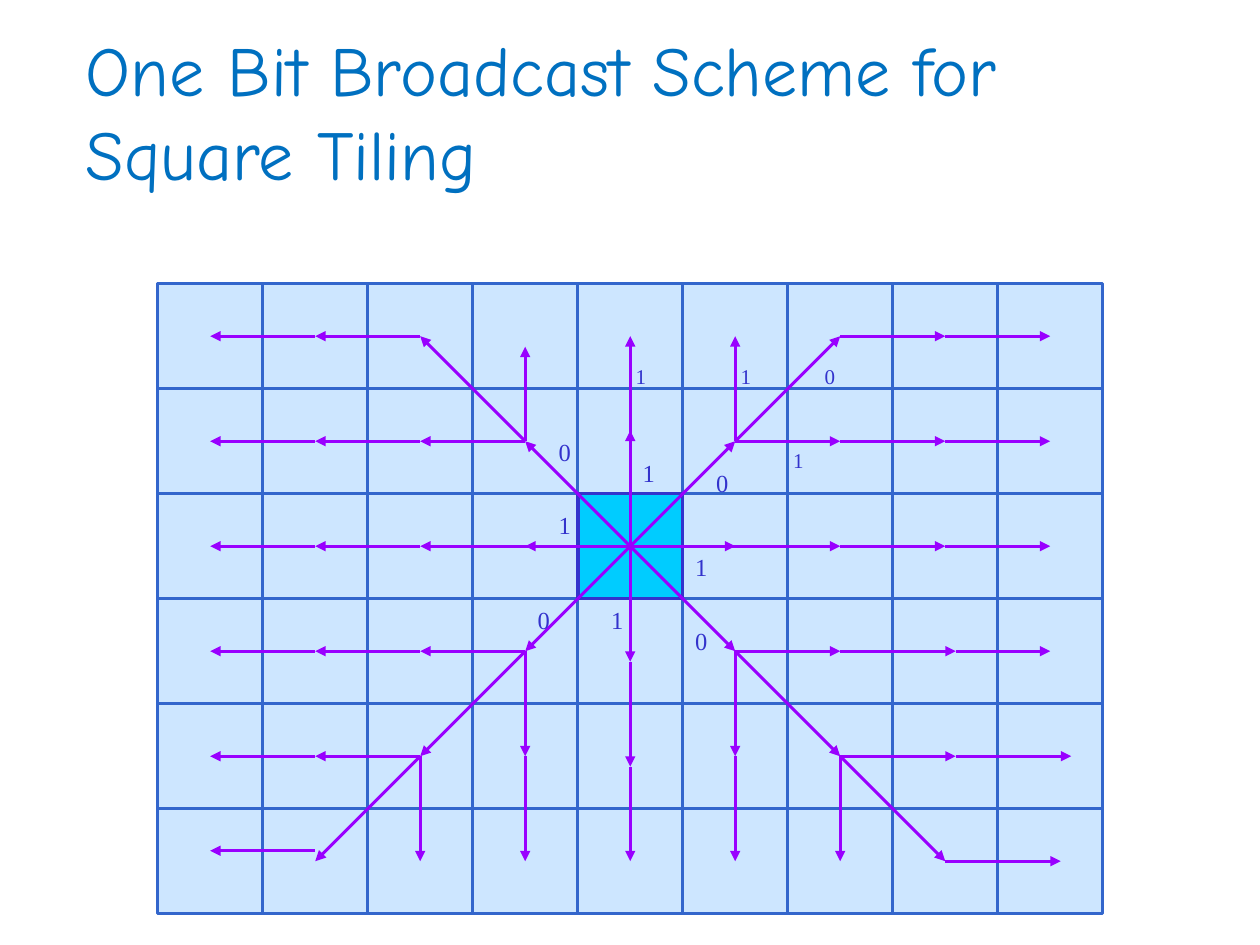
from itertools import pairwise, product

from lxml import etree
from pptx import Presentation
from pptx.dml.color import RGBColor
from pptx.enum.shapes import MSO_CONNECTOR as Connector, MSO_SHAPE as Shape
from pptx.enum.text import MSO_ANCHOR as Anchor, PP_ALIGN as Align
from pptx.oxml.ns import qn
from pptx.util import Cm, Pt

COLORS = {"title": "0070C0", "tile": "CDE6FF", "grid": "3366CC",
          "source": "00CCFF", "ink": "3333CC", "arrow": "9900FF"}
COLUMNS, ROWS = 9, 6
SOURCE = (4, 2)  # column and row of the broadcasting tile

# Each route is a chain of arrows; points are in tiles from the source centre.
ROUTES = [
    # straight up, down, right and left
    [(0, 0), (0, -1.1)],
    [(0, -1), (0, -2)],
    [(0, 0), (0, 1.1), (0, 2.1), (0, 3)],
    [(0, 0), (1, 0)],
    [(0.9, 0), (2, 0), (3, 0), (4, 0)],
    [(0, 0), (-1, 0)],
    [(-0.9, 0), (-2, 0), (-3, 0), (-4, 0)],
    # up right
    [(0, 0), (1, -1), (2, -2), (3, -2), (4, -2)],
    [(1, -1), (1, -2)],
    [(1, -1), (2, -1), (3, -1), (4, -1)],
    # up left
    [(0, 0), (-1, -1), (-2, -2), (-3, -2), (-4, -2)],
    [(-1, -1), (-1, -1.9)],
    [(-1, -1), (-2, -1), (-3, -1), (-4, -1)],
    # down left
    [(0, 0), (-1, 1), (-2, 2), (-3, 3)],
    [(-3, 2.9), (-4, 2.9)],
    [(-1, 1), (-1, 2), (-1, 3)],
    [(-1, 1), (-2, 1), (-3, 1), (-4, 1)],
    [(-2, 2), (-3, 2), (-4, 2)],
    [(-2, 2), (-2, 3)],
    # down right
    [(0, 0), (1, 1), (2, 2), (3, 3), (4.1, 3)],
    [(1, 1), (1, 2), (1, 3)],
    [(1, 1), (2, 1), (3.1, 1), (4, 1)],
    [(2, 2), (3.1, 2), (4.2, 2)],
    [(2, 2), (2, 3)],
]
# Bit and the top left corner of its label, in tiles from the source centre.
NEAR_BITS = [("1", 0, -0.9), ("1", -0.8, -0.4), ("1", -0.3, 0.5), ("1", 0.5, 0),
             ("0", 0.5, 0.7), ("0", -1, 0.5), ("0", -0.8, -1.1), ("0", 0.7, -0.8)]
FAR_BITS = [("1", -0.1, -1.8), ("1", 0.9, -1.8), ("1", 1.4, -1), ("0", 1.7, -1.8)]


def color(name):
    return RGBColor.from_string(COLORS[name])


def add_text(page, text, left, top, width, height, *, size, font, ink,
             align=Align.LEFT, anchor=Anchor.TOP):
    box = page.shapes.add_textbox(Cm(left), Cm(top), Cm(width), Cm(height))
    frame = box.text_frame
    frame.word_wrap = True
    frame.vertical_anchor = anchor
    para = frame.paragraphs[0]
    para.alignment = align
    span = para.add_run()
    span.text = text
    span.font.size = Pt(size)
    span.font.name = font
    span.font.color.rgb = color(ink)


def add_tile(page, left, top, side, fill, line, weight):
    tile = page.shapes.add_shape(Shape.RECTANGLE, Cm(left), Cm(top), Cm(side), Cm(side))
    tile.shadow.inherit = False
    tile.fill.solid()
    tile.fill.fore_color.rgb = color(fill)
    tile.line.color.rgb = color(line)
    tile.line.width = Pt(weight)


def add_arrow(page, start, end):
    arrow = page.shapes.add_connector(Connector.STRAIGHT, *map(Cm, start + end))
    arrow.line.color.rgb = color("arrow")
    arrow.line.width = Pt(1.75)
    etree.SubElement(arrow.line._get_or_add_ln(), qn("a:tailEnd"), type="triangle")
    etree.SubElement(arrow._element.spPr, qn("a:effectLst"))


def add_tiling(page, left, top, side):
    for row, column in product(range(ROWS), range(COLUMNS)):
        if (column, row) != SOURCE:
            add_tile(page, left + column * side, top + row * side, side,
                     "tile", "grid", 1.75)
    add_tile(page, left + SOURCE[0] * side, top + SOURCE[1] * side, side,
             "source", "ink", 2)


def add_broadcast(page, left, top, side):
    """Draw the arrows and bit labels over the tiling with the same box."""
    def place(across, down):
        return (left + (SOURCE[0] + 0.5 + across) * side,
                top + (SOURCE[1] + 0.5 + down) * side)

    for route in ROUTES:
        for start, end in pairwise(route):
            add_arrow(page, place(*start), place(*end))
    for bits, width, height, size in ((NEAR_BITS, 0.3, 0.4, 14),
                                      (FAR_BITS, 0.4, 0.36, 12)):
        for bit, across, down in bits:
            add_text(page, bit, *place(across, down), width * side, height * side,
                     size=size, font="Times New Roman", ink="ink", align=Align.CENTER)


def main():
    deck = Presentation()
    deck.slide_width, deck.slide_height = Cm(25.4), Cm(19.05)
    page = deck.slides.add_slide(deck.slide_layouts[6])
    add_text(page, "One Bit Broadcast Scheme for Square Tiling", 1.48, 0.64, 21.59, 3.18,
             size=40, font="Comic Neue", ink="title", anchor=Anchor.MIDDLE)
    tiling_box = (3.18, 5.72, 19.05 / COLUMNS)
    add_tiling(page, *tiling_box)
    add_broadcast(page, *tiling_box)
    deck.save("out.pptx")


if __name__ == "__main__":
    main()
